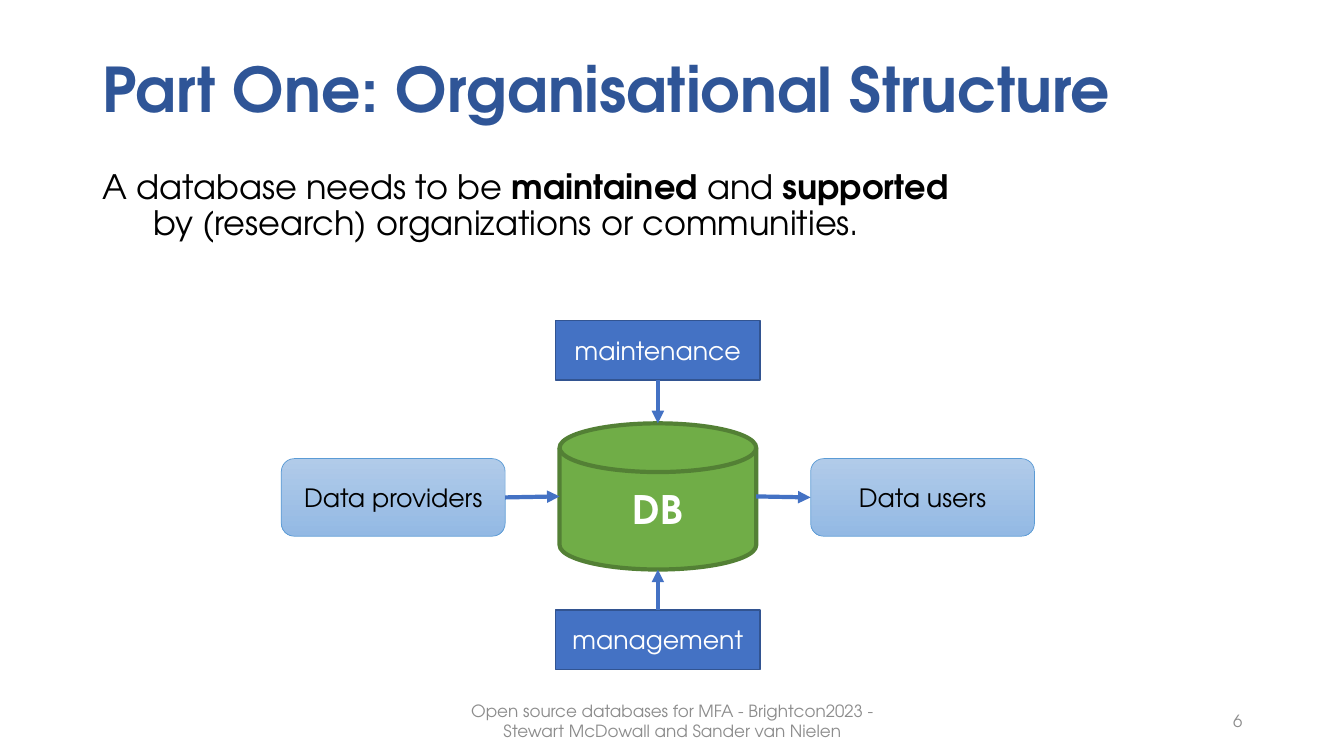
"""Build a slide on the organisational structure around a database."""
from dataclasses import dataclass

from lxml.etree import SubElement
from pptx import Presentation
from pptx.dml.color import RGBColor
from pptx.enum.shapes import MSO_CONNECTOR, MSO_SHAPE
from pptx.enum.text import MSO_ANCHOR, PP_ALIGN
from pptx.oxml.ns import qn
from pptx.util import Inches, Pt


@dataclass(frozen=True)
class Theme:
    font: str = "TeX Gyre Adventor"
    title: str = "2F5597"
    ink: str = "000000"
    paper: str = "FFFFFF"
    muted: str = "8C8C8C"
    blue: str = "4472C4"
    blue_edge: str = "325491"
    green: str = "70AD47"
    green_edge: str = "538035"
    pale: tuple = ("B1CBE9", "93B9E4")
    pale_edge: str = "5B9BD5"
    title_size: int = 44
    database_size: int = 28
    body_size: int = 24
    label_size: int = 18
    footer_size: int = 12


THEME = Theme()
TITLE = "Part One: Organisational Structure"
STATEMENT = [
    [("A database needs to be ", False), ("maintained", True),
     (" and ", False), ("supported ", True)],
    [("\tby (research) organizations or communities.", False)],
]
FOOTER = "Open source databases for MFA - Brightcon2023 - Stewart McDowall and Sander van Nielen"
PAGE_NUMBER = "6"
DATABASE = "DB"
PROVIDERS, USERS = "Data providers", "Data users"
SUPPORT = [("maintenance", 3.18, 2), ("management", 6.05, 0)]

DISK_LEFT, DISK_TOP, DISK_WIDTH, DISK_HEIGHT = 5.55, 4.2, 1.95, 1.45
SUPPORT_WIDTH, SUPPORT_HEIGHT = 2.03, 0.59
PARTY_TOP, PARTY_WIDTH, PARTY_HEIGHT, PARTY_GAP = 4.55, 2.22, 0.77, 0.54


def color(value):
    return RGBColor.from_string(value)


def write(box, text, size=THEME.label_size, ink=THEME.ink, bold=False,
          align=PP_ALIGN.CENTER, anchor=MSO_ANCHOR.MIDDLE, spacing=None):
    """Write a string, or lines of (text, bold) pairs, as one paragraph."""
    frame = box.text_frame
    frame.word_wrap = True
    frame.vertical_anchor = anchor
    para = frame.paragraphs[0]
    para.alignment = align
    para.line_spacing = spacing
    lines = [[(text, bold)]] if isinstance(text, str) else text
    for index, line in enumerate(lines):
        if index:
            para.add_line_break()
        for words, strong in line:
            span = para.add_run()
            span.text = words
            span.font.name = THEME.font
            span.font.size = Pt(size)
            span.font.bold = strong
            span.font.color.rgb = color(ink)


def add_text(page, area, text, **style):
    write(page.shapes.add_textbox(*map(Inches, area)), text, **style)


def add_node(page, kind, area, text, fill, edge, weight, **style):
    node = page.shapes.add_shape(kind, *map(Inches, area))
    node.shadow.inherit = False
    if isinstance(fill, tuple):
        node.fill.gradient()
        node.fill.gradient_angle = 270
        for stop, value in zip(node.fill.gradient_stops, fill):
            stop.color.rgb = color(value)
    else:
        node.fill.solid()
        node.fill.fore_color.rgb = color(fill)
    node.line.color.rgb = color(edge)
    node.line.width = Pt(weight)
    write(node, text, **style)
    return node


def add_arrow(page, start, end):
    arrow = page.shapes.add_connector(MSO_CONNECTOR.STRAIGHT, *map(Inches, start + end))
    arrow.line.color.rgb = color(THEME.blue)
    arrow.line.width = Pt(3)
    SubElement(arrow.line._get_or_add_ln(), qn("a:tailEnd"), type="triangle")
    SubElement(arrow._element.spPr, qn("a:effectLst"))
    return arrow


def add_diagram(page):
    center_x = DISK_LEFT + DISK_WIDTH / 2
    center_y = DISK_TOP + DISK_HEIGHT / 2
    disk_right = DISK_LEFT + DISK_WIDTH
    disk_bottom = DISK_TOP + DISK_HEIGHT
    add_node(page, MSO_SHAPE.FLOWCHART_MAGNETIC_DISK,
             (DISK_LEFT, DISK_TOP, DISK_WIDTH, DISK_HEIGHT), DATABASE,
             THEME.green, THEME.green_edge, 3,
             size=THEME.database_size, ink=THEME.paper, bold=True)

    for label, top, side in SUPPORT:
        area = (center_x - SUPPORT_WIDTH / 2, top, SUPPORT_WIDTH, SUPPORT_HEIGHT)
        node = add_node(page, MSO_SHAPE.RECTANGLE, area, label,
                        THEME.blue, THEME.blue_edge, 1, ink=THEME.paper)
        disk_edge = (center_x, DISK_TOP if side == 2 else disk_bottom)
        add_arrow(page, disk_edge, disk_edge).begin_connect(node, side)

    providers, users = [
        add_node(page, MSO_SHAPE.ROUNDED_RECTANGLE,
                 (left, PARTY_TOP, PARTY_WIDTH, PARTY_HEIGHT), label,
                 THEME.pale, THEME.pale_edge, 0.5)
        for label, left in [(PROVIDERS, DISK_LEFT - PARTY_GAP - PARTY_WIDTH),
                            (USERS, disk_right + PARTY_GAP)]
    ]
    left_edge, right_edge = (DISK_LEFT, center_y), (disk_right, center_y)
    add_arrow(page, left_edge, left_edge).begin_connect(providers, 3)
    add_arrow(page, right_edge, right_edge).end_connect(users, 1)


def main():
    deck = Presentation()
    deck.slide_width, deck.slide_height = Inches(13.33), Inches(7.5)
    page = deck.slides.add_slide(deck.slide_layouts[6])
    add_text(page, (0.92, 0.19, 11.5, 1.45), TITLE, size=THEME.title_size,
             ink=THEME.title, bold=True, align=PP_ALIGN.LEFT, spacing=0.9)
    add_text(page, (0.92, 1.64, 11.5, 5.31), STATEMENT, size=THEME.body_size,
             align=PP_ALIGN.LEFT, anchor=MSO_ANCHOR.TOP, spacing=0.9)
    add_text(page, (9.42, 6.95, 3, 0.4), PAGE_NUMBER, size=THEME.footer_size,
             ink=THEME.muted, align=PP_ALIGN.RIGHT)
    add_text(page, (4.42, 6.95, 4.5, 0.4), FOOTER, size=THEME.footer_size,
             ink=THEME.muted)
    add_diagram(page)
    deck.save("out.pptx")


if __name__ == "__main__":
    main()
